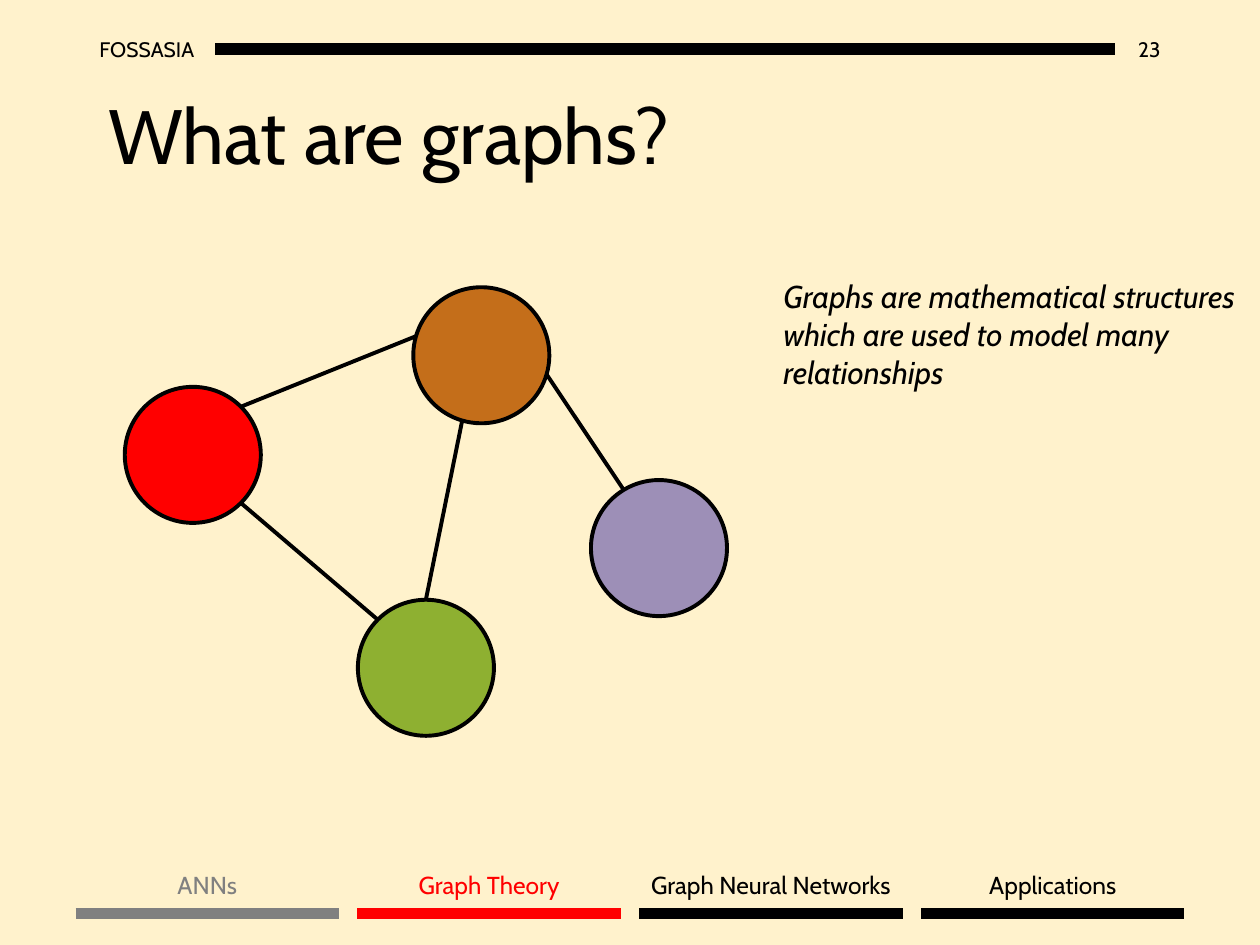
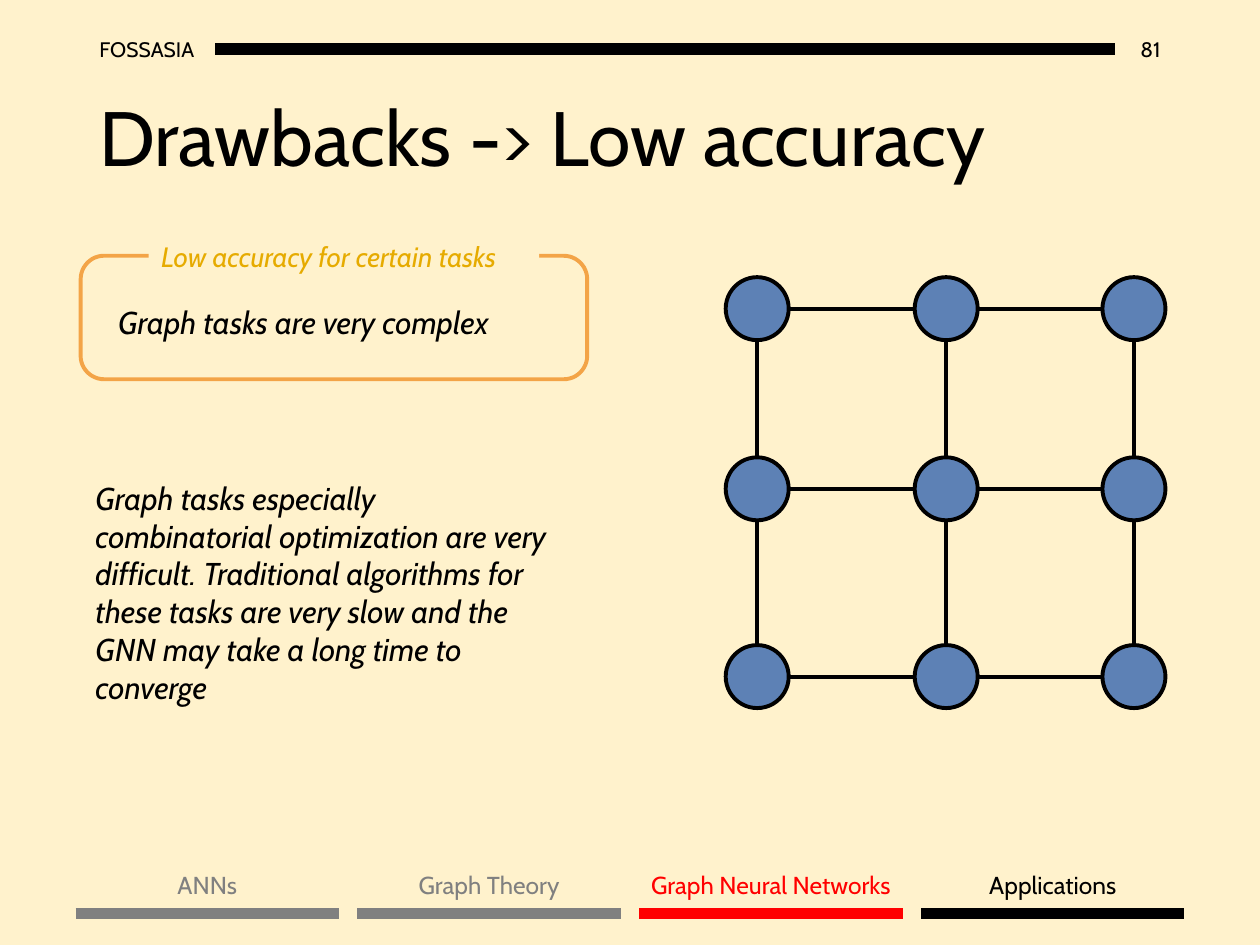
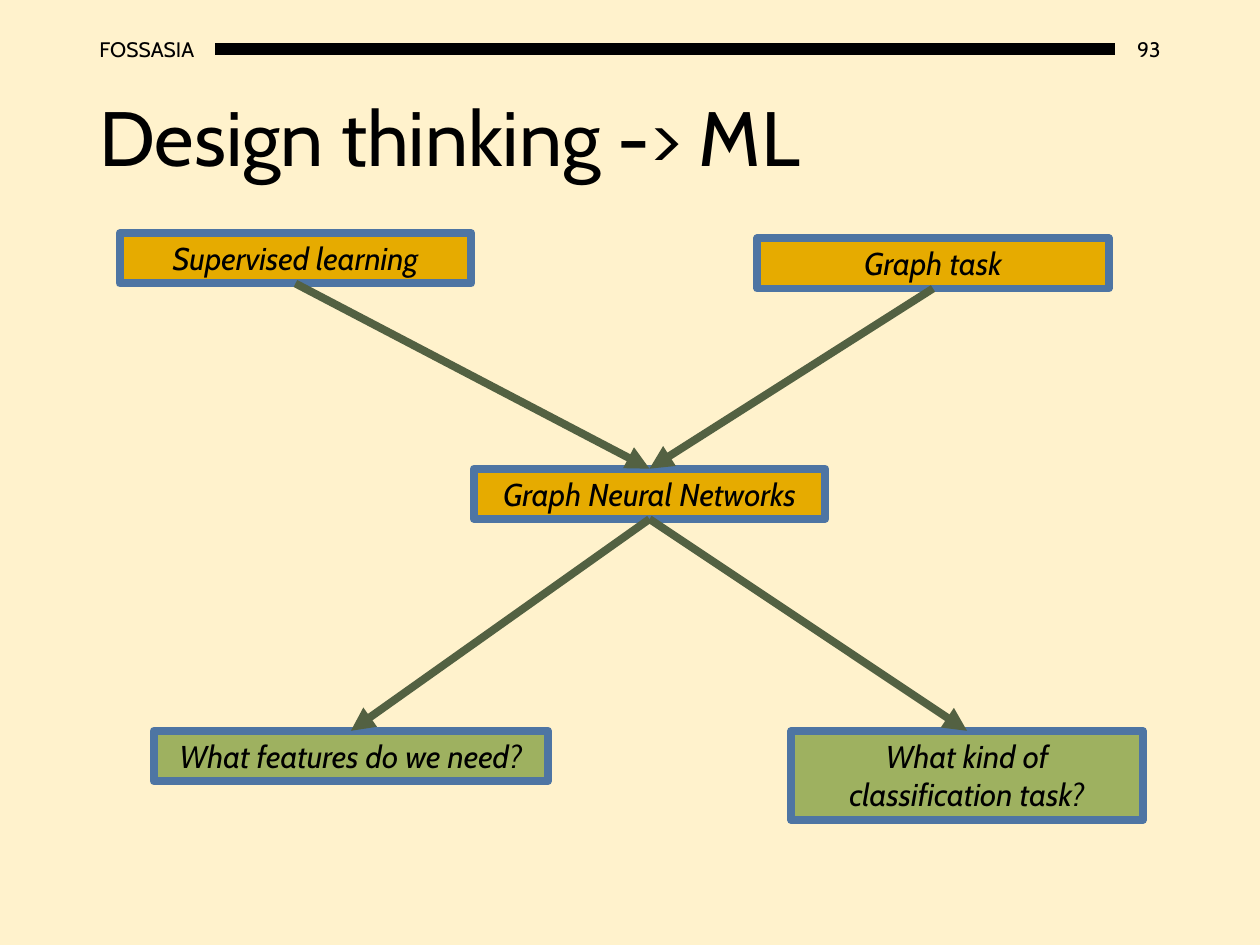
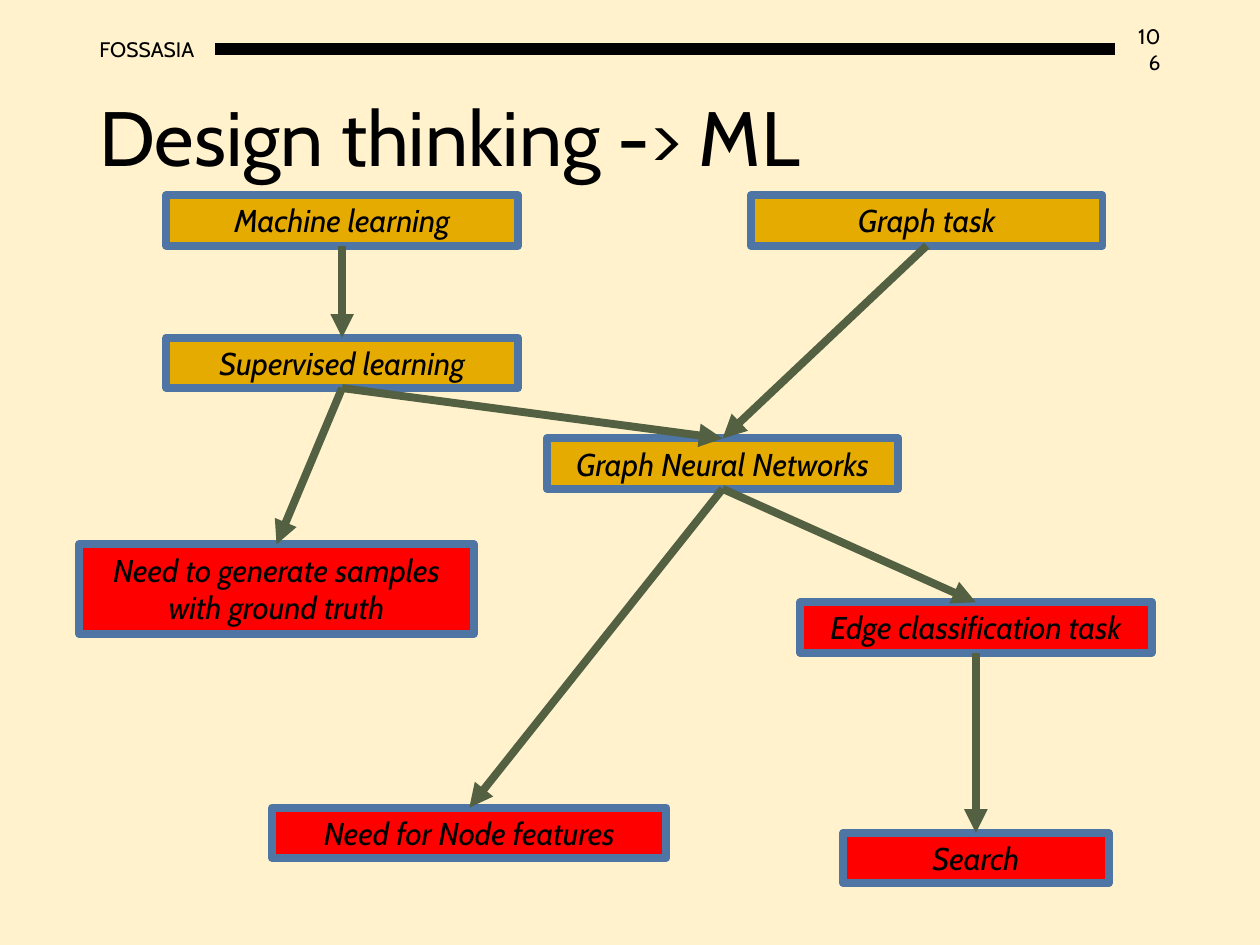
"""Build four slides on graphs, graph neural networks and design thinking."""

import math
from dataclasses import dataclass, replace
from itertools import product
from typing import Any, NamedTuple, Optional, Sequence

from lxml import etree
from pptx import Presentation, util as u
from pptx.dml import color
from pptx.enum import shapes, text
from pptx.oxml import ns

SLIDE_WIDTH, SLIDE_HEIGHT = u.Inches(10), u.Inches(7.5)
COLUMNS, ROWS = 100, 75


@dataclass(frozen=True)
class Theme:
    """Colours, type sizes and line widths of the deck."""

    font: str = "Cabin"
    paper: str = "FFF2CC"
    ink: str = "000000"
    done: str = "808080"
    accent: str = "FF0000"
    gold: str = "E6AB00"
    orange: str = "F3A447"
    brown: str = "C46E1A"
    green: str = "8EB031"
    purple: str = "9D8FB7"
    blue: str = "5D81B5"
    moss: str = "9EB160"
    frame: str = "4E75A3"
    arrow: str = "536142"
    title_size: float = 44
    body_size: float = 18
    label_size: float = 16
    section_size: float = 14
    header_size: float = 12
    thin: float = 2.25
    thick: float = 4.5
    section_bar: float = 6
    header_bar: float = 7


THEME = Theme()


class Point(NamedTuple):
    """A place on the grid."""

    column: float
    row: float


class Box(NamedTuple):
    """A rectangle on the grid."""

    left: float
    top: float
    width: float
    height: float


@dataclass(frozen=True)
class TextStyle:
    """How the text of one shape looks."""

    size: float
    color: str = THEME.ink
    italic: bool = False
    align: Any = text.PP_ALIGN.LEFT
    anchor: Any = text.MSO_ANCHOR.TOP
    wrap: bool = True
    spacing: Optional[float] = None


TITLE = TextStyle(THEME.title_size, anchor=text.MSO_ANCHOR.MIDDLE, spacing=0.9)
BODY = TextStyle(THEME.body_size, italic=True)
STEP = replace(BODY, align=text.PP_ALIGN.CENTER)
LABEL = replace(BODY, size=THEME.label_size, color=THEME.gold)
HEADER = TextStyle(THEME.header_size, anchor=text.MSO_ANCHOR.MIDDLE)
PAGE_NUMBER = replace(HEADER, align=text.PP_ALIGN.RIGHT)
SECTION = TextStyle(THEME.section_size, align=text.PP_ALIGN.CENTER, wrap=False)


class Section(NamedTuple):
    """One entry of the progress footer."""

    name: str
    width: float


class Node(NamedTuple):
    """A graph node with its rotation in degrees."""

    center: Point
    radius: float
    fill: str
    rotation: float = 0


class Edge(NamedTuple):
    """A line between two nodes, leaving each at an angle clockwise from its right side."""

    start: Any
    start_angle: float
    end: Any
    end_angle: float


class Step(NamedTuple):
    """A box of a flow diagram."""

    content: str
    box: Box
    fill: str


SECTIONS = (
    Section("ANNs", 6.9),
    Section("Graph Theory", 13.7),
    Section("Graph Neural Networks", 22.4),
    Section("Applications", 12.3),
)
SECTION_LEFT, SECTION_WIDTH, SECTION_PITCH = 6, 20.9, 22.37
TITLE_BOX = Box(6.9, 4, 86.2, 14.5)
STEP_WIDTH, WIDE_STEP, NARROW_STEP = 27.9, 31.3, 21.1
ONE_LINE, TWO_LINES = 4, 7.1


def across(columns: float) -> u.Emu:
    """Turn grid columns into a length."""
    return u.Emu(round(SLIDE_WIDTH * columns / COLUMNS))


def down(rows: float) -> u.Emu:
    """Turn grid rows into a length."""
    return u.Emu(round(SLIDE_HEIGHT * rows / ROWS))


def place(box: Box) -> tuple:
    """Turn a grid box into lengths."""
    return across(box.left), down(box.top), across(box.width), down(box.height)


def rgb(value: str) -> color.RGBColor:
    """Turn a hex string into a colour."""
    return color.RGBColor.from_string(value)


def set_formats(target: Any, formats: dict) -> None:
    """Set every named attribute of the target."""
    for name, value in formats.items():
        setattr(target, name, value)


def write(shape: Any, content: str, style: TextStyle) -> None:
    """Put one styled paragraph into a shape."""
    frame = shape.text_frame
    set_formats(frame, {"word_wrap": style.wrap, "vertical_anchor": style.anchor})
    paragraph = frame.paragraphs[0]
    set_formats(paragraph, {"alignment": style.align, "line_spacing": style.spacing})
    run = paragraph.add_run()
    run.text = content
    set_formats(run.font, {"name": THEME.font, "size": u.Pt(style.size), "italic": style.italic})
    run.font.color.rgb = rgb(style.color)


def add_text(slide: Any, content: str, box: Box, style: TextStyle) -> None:
    """Add a text box."""
    write(slide.shapes.add_textbox(*place(box)), content, style)


def add_shape(slide: Any, kind: Any, box: Box, fill: Optional[str] = None,
              line: Optional[str] = None, width: float = THEME.thin) -> Any:
    """Add a preset shape, without fill or line where none is named."""
    shape = slide.shapes.add_shape(kind, *place(box))
    shape.shadow.inherit = False
    if fill:
        shape.fill.solid()
        shape.fill.fore_color.rgb = rgb(fill)
    else:
        shape.fill.background()
    if line:
        shape.line.color.rgb = rgb(line)
        shape.line.width = u.Pt(width)
    else:
        shape.line.fill.background()
    return shape


def add_line(slide: Any, start: Point, end: Point, line: str, width: float) -> Any:
    """Add a straight connector without a shadow."""
    connector = slide.shapes.add_connector(
        shapes.MSO_CONNECTOR.STRAIGHT,
        across(start.column), down(start.row), across(end.column), down(end.row))
    connector.line.color.rgb = rgb(line)
    connector.line.width = u.Pt(width)
    etree.SubElement(connector._element.spPr, ns.qn("a:effectLst"))
    return connector


def add_arrow(slide: Any, source: Any, target: Any) -> None:
    """Join the bottom of one box to the top of another with an arrow."""
    connector = add_line(slide, Point(0, 0), Point(0, 0), THEME.arrow, THEME.thick)
    connector.begin_connect(source, 2)
    connector.end_connect(target, 0)
    outline = connector._element.spPr.find(ns.qn("a:ln"))
    etree.SubElement(outline, ns.qn("a:tailEnd"), type="triangle")


def rim(node: Node, angle: float) -> Point:
    """Find the point on a node's outline at an angle, turned with the node."""
    turn = math.radians(angle + node.rotation)
    return Point(node.center.column + node.radius * math.cos(turn),
                 node.center.row + node.radius * math.sin(turn))


def add_graph(slide: Any, nodes: dict, edges: Sequence[Edge]) -> None:
    """Draw the edges of a graph and its nodes above them."""
    for edge in edges:
        add_line(slide, rim(nodes[edge.start], edge.start_angle),
                 rim(nodes[edge.end], edge.end_angle), THEME.ink, THEME.thin)
    for node in nodes.values():
        box = Box(node.center.column - node.radius, node.center.row - node.radius,
                  2 * node.radius, 2 * node.radius)
        circle = add_shape(slide, shapes.MSO_SHAPE.OVAL, box, node.fill, THEME.ink)
        circle.rotation = node.rotation


def add_flow(slide: Any, steps: dict, arrows: Sequence[tuple]) -> None:
    """Draw the boxes of a flow and the arrows joining them."""
    drawn = {}
    for key, step in steps.items():
        drawn[key] = add_shape(slide, shapes.MSO_SHAPE.RECTANGLE, step.box,
                               step.fill, THEME.frame, THEME.thick)
        write(drawn[key], step.content, STEP)
    for source, target in arrows:
        add_arrow(slide, drawn[source], drawn[target])


def add_sections(slide: Any, current: int) -> None:
    """Draw the progress footer with the current section highlighted."""
    for index, section in enumerate(SECTIONS):
        shade = THEME.accent if index == current else THEME.done if index < current else THEME.ink
        left = SECTION_LEFT + index * SECTION_PITCH
        add_line(slide, Point(left, 72.5), Point(left + SECTION_WIDTH, 72.5),
                 shade, THEME.section_bar)
        box = Box(left + (SECTION_WIDTH - section.width) / 2, 68.6, section.width, 3.4)
        add_text(slide, section.name, box, replace(SECTION, color=shade))


def start_slide(presentation: Any, page: int, title: str, title_box: Box = TITLE_BOX) -> Any:
    """Add a slide with background, header and title."""
    slide = presentation.slides.add_slide(presentation.slide_layouts[6])
    slide.background.fill.solid()
    slide.background.fill.fore_color.rgb = rgb(THEME.paper)
    add_text(slide, str(page), Box(88.5, 1.9, 4.6, 4), PAGE_NUMBER)
    add_text(slide, "FOSSASIA", Box(6.9, 1.9, 10.2, 4), HEADER)
    add_line(slide, Point(17.1, 3.9), Point(88.5, 3.9), THEME.ink, THEME.header_bar)
    add_text(slide, title, title_box, TITLE)
    return slide


def build_graphs(presentation: Any) -> None:
    """Show what a graph is."""
    slide = start_slide(presentation, 23, "What are graphs?", Box(7.6, 3.8, 86.2, 14.5))
    add_sections(slide, 1)
    radius = 5.4
    nodes = {
        "green": Node(Point(33.8, 53), radius, THEME.green),
        "purple": Node(Point(52.3, 43.5), radius, THEME.purple, 58.8),
        "red": Node(Point(15.3, 36.1), radius, THEME.accent),
        "brown": Node(Point(38.2, 28.2), radius, THEME.brown, 16.3),
    }
    add_graph(slide, nodes, (
        Edge("brown", 90, "green", 270),
        Edge("red", 45, "green", 225),
        Edge("red", 315, "brown", 180),
        Edge("brown", 0, "purple", 180),
    ))
    add_text(slide, "Graphs are mathematical structures which are used to model many relationships",
             Box(61.2, 21.5, 38.4, 10.1), BODY)


def build_drawbacks(presentation: Any) -> None:
    """Show the accuracy drawback beside a lattice graph."""
    slide = start_slide(presentation, 81, "Drawbacks -> Low accuracy")
    add_text(slide, "Graph tasks are very complex", Box(8.4, 23.6, 35.6, 4), BODY)
    outline = add_shape(slide, shapes.MSO_SHAPE.ROUNDED_RECTANGLE,
                        Box(6.4, 20.3, 40.2, 9.8), line=THEME.orange)
    outline.adjustments[0] = 0.19
    label = add_shape(slide, shapes.MSO_SHAPE.RECTANGLE, Box(11.8, 18.5, 31, 3.7), THEME.paper)
    write(label, "Low accuracy for certain tasks", LABEL)
    add_sections(slide, 2)
    add_text(slide, "Graph tasks especially combinatorial optimization are very difficult. "
             "Traditional algorithms for these tasks are very slow and the GNN may take "
             "a long time to converge", Box(6.6, 37.5, 38.7, 19.2), BODY)
    centers = (60.1, 75.1, 90), (24.5, 38.8, 53.7)
    nodes = {(column, row): Node(Point(centers[0][column], centers[1][row]), 2.5, THEME.blue)
             for row, column in product(range(3), repeat=2)}
    rightward = [Edge((i, j), 0, (i + 1, j), 180) for i, j in product(range(2), range(3))]
    downward = [Edge((i, j), 90, (i, j + 1), 270) for i, j in product(range(3), range(2))]
    add_graph(slide, nodes, rightward + downward)


def build_questions(presentation: Any) -> None:
    """Show the questions that lead from a task to a network."""
    slide = start_slide(presentation, 93, "Design thinking -> ML")
    steps = {
        "network": Step("Graph Neural Networks", Box(37.6, 37.2, STEP_WIDTH, ONE_LINE), THEME.gold),
        "task": Step("Graph task", Box(60.1, 18.9, STEP_WIDTH, ONE_LINE), THEME.gold),
        "supervised": Step("Supervised learning", Box(9.5, 18.5, STEP_WIDTH, ONE_LINE), THEME.gold),
        "kind": Step("What kind of classification task?",
                     Box(62.8, 58, STEP_WIDTH, TWO_LINES), THEME.moss),
        "features": Step("What features do we need?",
                         Box(12.2, 58, WIDE_STEP, ONE_LINE), THEME.moss),
    }
    add_flow(slide, steps, (("task", "network"), ("supervised", "network"),
                            ("network", "kind"), ("network", "features")))


def build_answers(presentation: Any) -> None:
    """Show the needs that follow from the chosen network."""
    slide = start_slide(presentation, 106, "Design thinking -> ML")
    steps = {
        "network": Step("Graph Neural Networks", Box(43.4, 34.8, STEP_WIDTH, ONE_LINE), THEME.gold),
        "task": Step("Graph task", Box(59.6, 15.5, STEP_WIDTH, ONE_LINE), THEME.gold),
        "samples": Step("Need to generate samples with ground truth",
                        Box(6.3, 43.2, WIDE_STEP, TWO_LINES), THEME.accent),
        "supervised": Step("Supervised learning",
                           Box(13.2, 26.8, STEP_WIDTH, ONE_LINE), THEME.gold),
        "edges": Step("Edge classification task",
                      Box(63.5, 47.8, STEP_WIDTH, ONE_LINE), THEME.accent),
        "features": Step("Need for Node features",
                         Box(21.6, 64.1, WIDE_STEP, ONE_LINE), THEME.accent),
        "machine": Step("Machine learning", Box(13.2, 15.5, STEP_WIDTH, ONE_LINE), THEME.gold),
        "search": Step("Search", Box(66.9, 66.1, NARROW_STEP, ONE_LINE), THEME.accent),
    }
    add_flow(slide, steps, (
        ("task", "network"), ("supervised", "samples"), ("supervised", "network"),
        ("network", "edges"), ("network", "features"), ("edges", "search"),
        ("machine", "supervised"),
    ))


def main() -> None:
    """Build and save the presentation."""
    presentation = Presentation()
    set_formats(presentation, {"slide_width": SLIDE_WIDTH, "slide_height": SLIDE_HEIGHT})
    for build in (build_graphs, build_drawbacks, build_questions, build_answers):
        build(presentation)
    presentation.save("out.pptx")


if __name__ == "__main__":
    main()
